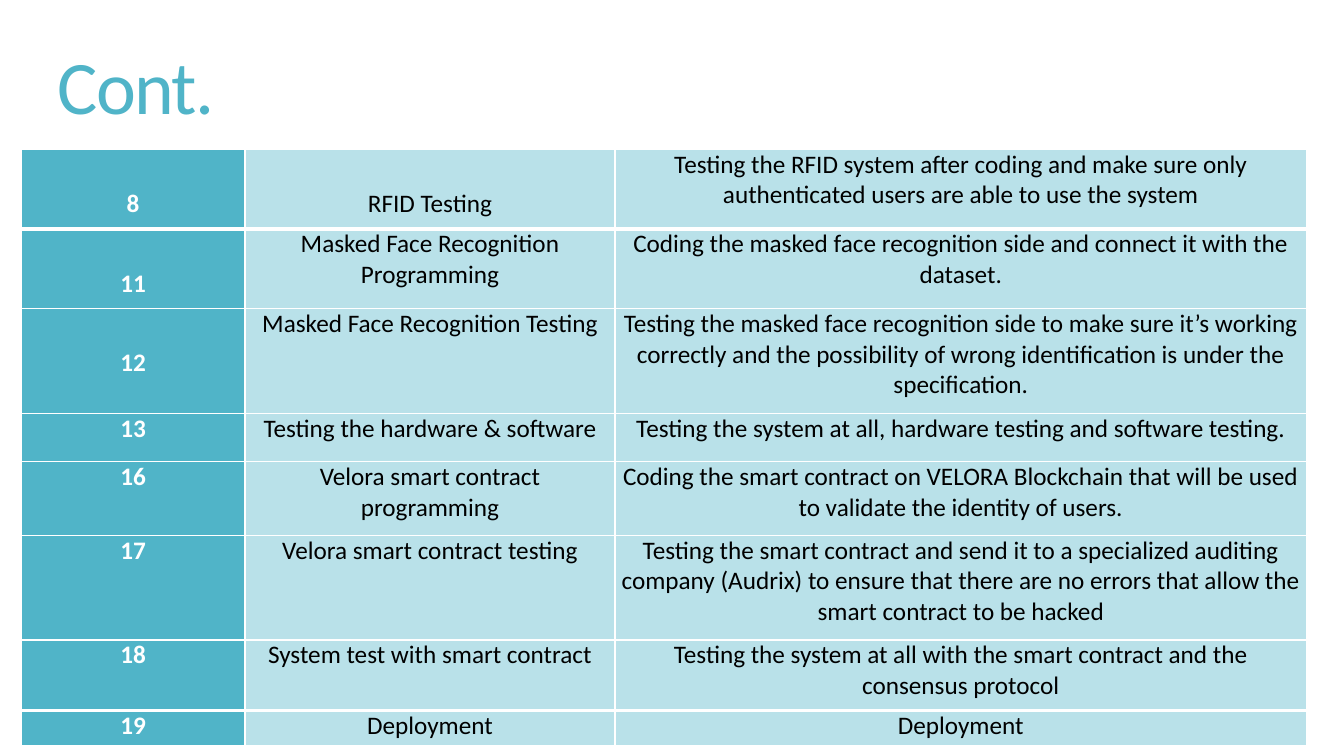
import pptx
import pptx.util
import pptx.dml.color
import pptx.enum.text
import pptx.oxml
import pptx.oxml.ns

Inches = pptx.util.Inches
Pt = pptx.util.Pt
RGBColor = pptx.dml.color.RGBColor
Align = pptx.enum.text.PP_ALIGN
Anchor = pptx.enum.text.MSO_ANCHOR

TEAL = RGBColor(0x50, 0xB4, 0xC8)
PALE_TEAL = RGBColor(0xB9, 0xE1, 0xE9)
WHITE = RGBColor(0xFF, 0xFF, 0xFF)
BLACK = RGBColor(0, 0, 0)

COLUMN_WIDTHS = [2.22, 3.67, 6.86]
SKIPPED_LINE = 0.39
TASKS = [
    (0.79, 2, "8", "RFID Testing",
     "Testing the RFID system after coding and make sure only authenticated users are able to use the system"),
    (0.79, 1, "11", "Masked Face Recognition Programming",
     "Coding the masked face recognition side and connect it with the dataset."),
    (1.04, 1, "12", "Masked Face Recognition Testing",
     "Testing the masked face recognition side to make sure it’s working correctly "
     "and the possibility of wrong identification is under the specification."),
    (0.48, 0, "13", "Testing the hardware & software",
     "Testing the system at all, hardware testing and software testing."),
    (0.73, 0, "16", "Velora smart contract programming",
     "Coding the smart contract on VELORA Blockchain that will be used to validate the identity of users."),
    (1.04, 0, "17", "Velora smart contract testing",
     "Testing the smart contract and send it to a specialized auditing company (Audrix) "
     "to ensure that there are no errors that allow the smart contract to be hacked"),
    (0.7, 0, "18", "System test with smart contract",
     "Testing the system at all with the smart contract and the consensus protocol"),
    (0.35, 0, "19", "Deployment", "Deployment"),
]


def set_values(target, values):
    for name, value in values.items():
        setattr(target, name, value)


class SlideBuilder:
    font_name = "Calibri"

    def __init__(self, deck):
        self.page = deck.slides.add_slide(deck.slide_layouts[5])

    def add_text(self, frame, text, paragraph_format, size, color, bold=False):
        para = frame.paragraphs[0]
        set_values(para, paragraph_format)
        span = para.add_run()
        span.text = text
        set_values(span.font, {"name": self.font_name, "size": Pt(size), "bold": bold})
        span.font.color.rgb = color
        return span

    def title(self, text, left, top, width, height):
        box = self.page.shapes.title
        set_values(box, {"left": Inches(left), "top": Inches(top),
                         "width": Inches(width), "height": Inches(height)})
        set_values(box.text_frame, {"vertical_anchor": Anchor.MIDDLE, "word_wrap": True,
                                    "auto_size": pptx.enum.text.MSO_AUTO_SIZE.NONE})
        span = self.add_text(box.text_frame, text,
                             {"alignment": Align.LEFT, "line_spacing": 0.85}, 54, TEAL)
        span.font._element.set("spc", "-120")

    def borders(self, cell, widths):
        properties = cell._tc.get_or_add_tcPr()
        for position, (side, width) in enumerate(widths.items()):
            line = pptx.oxml.parse_xml(
                f'<a:{side} {pptx.oxml.ns.nsdecls("a")} w="{Pt(width)}">'
                f'<a:solidFill><a:srgbClr val="{WHITE}"/></a:solidFill></a:{side}>')
            properties.insert(position, line)

    def cell(self, cell, text, fill, color, bold, top_margin, widths):
        set_values(cell, {"margin_left": Inches(0.05), "margin_right": Inches(0.05),
                          "margin_top": Inches(top_margin), "margin_bottom": 0,
                          "vertical_anchor": Anchor.TOP})
        cell.fill.solid()
        cell.fill.fore_color.rgb = fill
        self.add_text(cell.text_frame, text,
                      {"alignment": Align.CENTER, "space_after": Pt(6)}, 18, color, bold)
        self.borders(cell, widths)

    def task_table(self, tasks, left, top):
        height = sum(task[0] for task in tasks)
        frame = self.page.shapes.add_table(
            len(tasks), len(COLUMN_WIDTHS), Inches(left), Inches(top),
            Inches(sum(COLUMN_WIDTHS)), Inches(height))
        table = frame.table
        set_values(table, {"first_row": False, "horz_banding": False})
        for column, width in zip(table.columns, COLUMN_WIDTHS):
            column.width = Inches(width)
        last = len(tasks) - 1
        for row, (row_height, lowered, *texts) in enumerate(tasks):
            table.rows[row].height = Inches(row_height)
            widths = {"lnL": 1, "lnR": 1,
                      "lnT": 3 if row in (1, last) else 1,
                      "lnB": 3 if row in (0, last - 1) else 1}
            for column, text in enumerate(texts):
                is_number = column == 0
                self.cell(table.cell(row, column), text,
                          TEAL if is_number else PALE_TEAL,
                          WHITE if is_number else BLACK, is_number,
                          SKIPPED_LINE if column < lowered else 0, widths)


def main():
    deck = pptx.Presentation()
    set_values(deck, {"slide_width": Inches(13.33), "slide_height": Inches(7.5)})
    builder = SlideBuilder(deck)
    builder.title("Cont.", 0.47, 0, 11.78, 1.81)
    builder.task_table(TASKS, 0.21, 1.48)
    deck.save("out.pptx")


if __name__ == "__main__":
    main()
